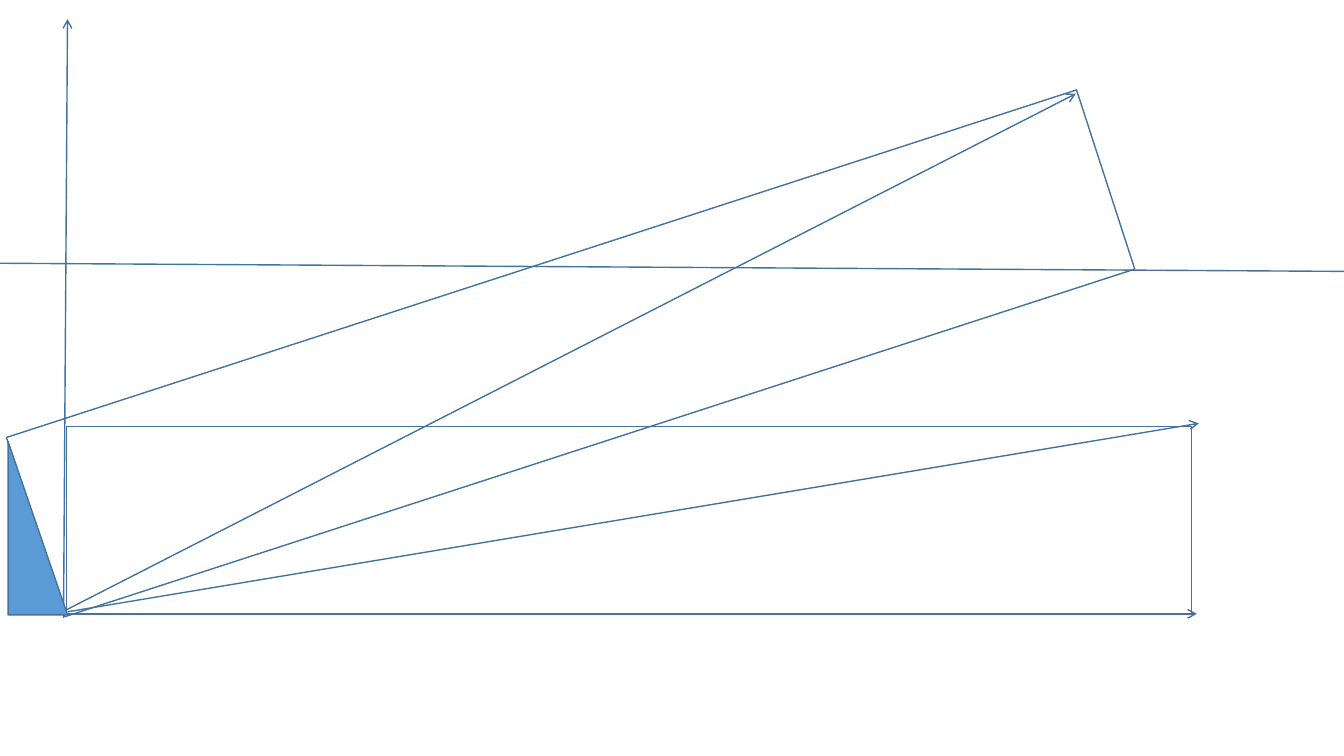
from lxml import etree
from pptx import Presentation
from pptx import util as u
from pptx.dml.color import RGBColor
from pptx.enum import shapes
from pptx.oxml import ns

COLORS = {"line": "43739E", "fill": "5B9BD5", "back": "FFFFFF"}


def rgb(name):
    return RGBColor.from_string(COLORS[name])


class Diagram:
    """Holds the slide and the line style shared by its elements."""

    def __init__(self, slide, width=1):
        self.s = slide
        self.width = u.Pt(width)
        slide.background.fill.solid()
        slide.background.fill.fore_color.rgb = rgb("back")

    def outline(self, sp):
        sp.line.color.rgb = rgb("line")
        sp.line.width = self.width

    def line(self, start, end, arrow=False):
        points = [u.Inches(v) for v in (*start, *end)]
        sp = self.s.shapes.add_connector(shapes.MSO_CONNECTOR.STRAIGHT, *points)
        self.outline(sp)
        if arrow:
            ln = sp.line._get_or_add_ln()
            etree.SubElement(ln, ns.qn("a:tailEnd"), type="arrow")
        etree.SubElement(sp._element.spPr, ns.qn("a:effectLst"))
        return sp

    def shape(self, kind, left, top, width, height, fill=None, rotation=0):
        box = [u.Inches(v) for v in (left, top, width, height)]
        sp = self.s.shapes.add_shape(kind, *box)
        sp.shadow.inherit = False
        sp.rotation = rotation
        if fill:
            sp.fill.solid()
            sp.fill.fore_color.rgb = rgb(fill)
        else:
            sp.fill.background()
        self.outline(sp)
        return sp


prs = Presentation()
prs.slide_width, prs.slide_height = u.Inches(13.33), u.Inches(7.5)
d = Diagram(prs.slides.add_slide(prs.slide_layouts[6]))

# Axes
d.line((0.63, 6.13), (0.67, 0.19), arrow=True)
d.line((0.57, 6.09), (11.87, 6.09), arrow=True)

# Diagonal vectors of the two rectangles
d.line((0.67, 6.07), (11.89, 4.2), arrow=True)
d.line((0.62, 6.07), (10.67, 0.93), arrow=True)

# Rectangle before and after its rotation
RECT_SIZE = (11.16, 1.87)
for left, top, rotation in ((0.66, 4.23, 0), (0.08, 2.57, 342)):
    d.shape(shapes.MSO_SHAPE.RECTANGLE, left, top, *RECT_SIZE, rotation=rotation)

# Level through the rotated corner, running across the slide
d.line((-1.91, 2.6), (14.59, 2.7))

# Triangle between the rotated side and the base
d.shape(shapes.MSO_SHAPE.RIGHT_TRIANGLE, 0.08, 4.38, 0.59, 1.72, fill="fill")

prs.save("out.pptx")
